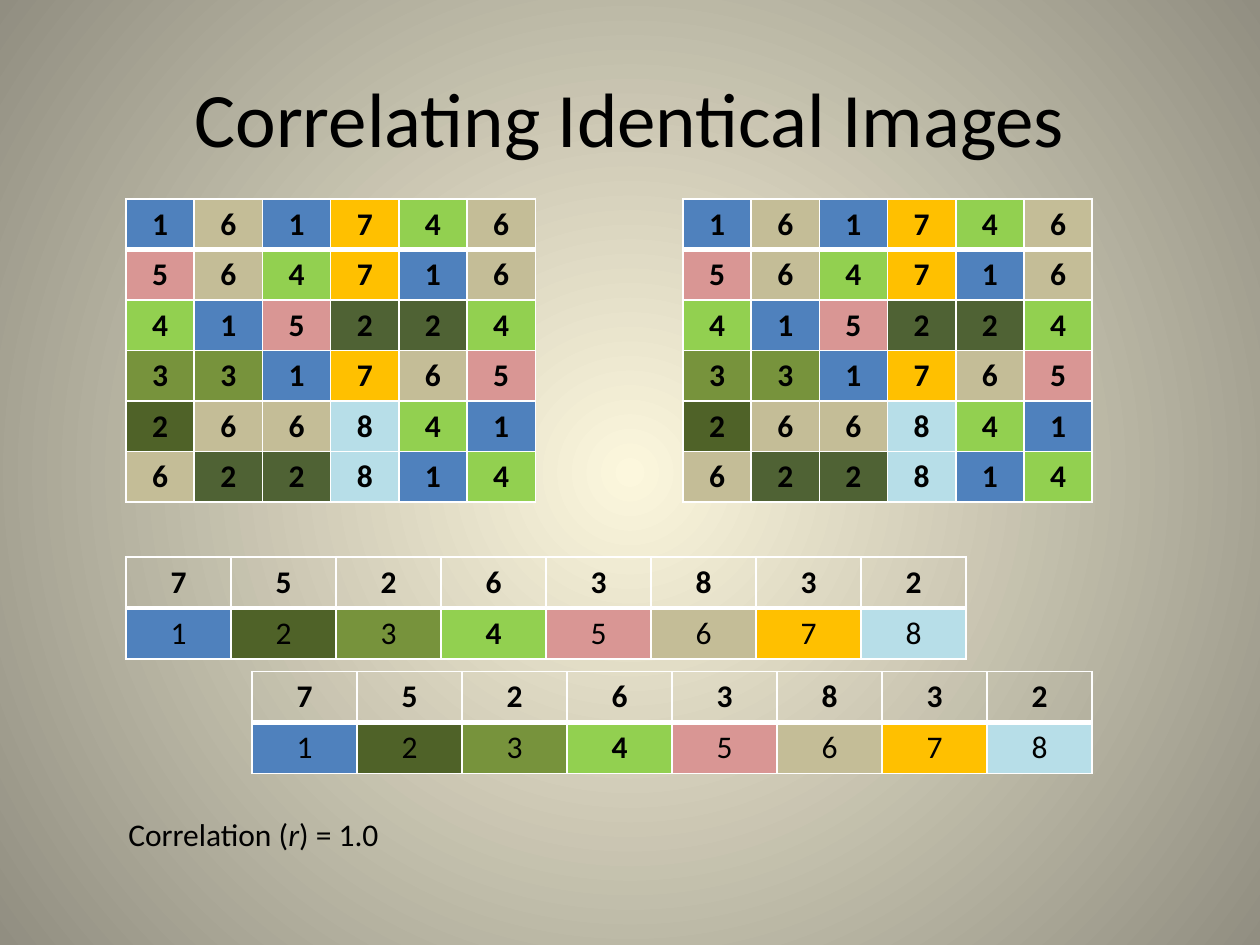
from lxml import etree
from pptx import Presentation
from pptx.dml.color import RGBColor
from pptx.enum import text
from pptx.oxml import parse_xml
from pptx.oxml.ns import nsdecls, qn
from pptx.util import Inches, Pt

FONT = "Calibri"
BLACK = RGBColor(0x00, 0x00, 0x00)
WHITE = RGBColor(0xFF, 0xFF, 0xFF)
GLOW = RGBColor(0xFC, 0xF7, 0xDD)
SHADE = RGBColor(0x91, 0x8E, 0x81)
DARK_GREEN = RGBColor(0x4F, 0x62, 0x34)

# Fill of each pixel value
VALUE_COLOURS = {
    1: RGBColor(0x4F, 0x81, 0xBD),
    2: RGBColor(0x4F, 0x62, 0x28),
    3: RGBColor(0x77, 0x93, 0x3C),
    4: RGBColor(0x92, 0xD0, 0x50),
    5: RGBColor(0xD9, 0x96, 0x94),
    6: RGBColor(0xC4, 0xBD, 0x97),
    7: RGBColor(0xFF, 0xC0, 0x00),
    8: RGBColor(0xB7, 0xDE, 0xE8),
}
PIXELS = [
    [1, 6, 1, 7, 4, 6],
    [5, 6, 4, 7, 1, 6],
    [4, 1, 5, 2, 2, 4],
    [3, 3, 1, 7, 6, 5],
    [2, 6, 6, 8, 4, 1],
    [6, 2, 2, 8, 1, 4],
]
COUNTS = [7, 5, 2, 6, 3, 8, 3, 2]


def paint_background(page):
    """Radial gradient, light in the centre."""
    background = parse_xml(
        f'<p:bg {nsdecls("p", "a")}><p:bgPr><a:gradFill rotWithShape="1"><a:gsLst>'
        f'<a:gs pos="0"><a:srgbClr val="{GLOW}"/></a:gs>'
        f'<a:gs pos="100000"><a:srgbClr val="{SHADE}"/></a:gs></a:gsLst>'
        '<a:path path="circle"><a:fillToRect l="50000" t="50000" r="50000" b="50000"/></a:path>'
        '</a:gradFill><a:effectLst/></p:bgPr></p:bg>')
    page.background._cSld.insert(0, background)


def set_font(para, size, bold=False):
    para.font.name = FONT
    para.font.size = Pt(size)
    para.font.bold = bold
    para.font.color.rgb = BLACK


def set_borders(cell, bottom):
    properties = cell._tc.get_or_add_tcPr()
    widths = {"lnL": 1, "lnR": 1, "lnT": 1, "lnB": bottom}
    for index, (side, width) in enumerate(widths.items()):
        line = etree.Element(qn(f"a:{side}"), w=str(Pt(width)))
        fill = etree.SubElement(line, qn("a:solidFill"))
        etree.SubElement(fill, qn("a:srgbClr"), val=str(WHITE))
        properties.insert(index, line)


def add_number_table(page, box, values, colour_of, is_bold):
    """Table of centred numbers with a heavier rule below the first row."""
    rows, columns = len(values), len(values[0])
    table = page.shapes.add_table(rows, columns, *map(Inches, box)).table
    table.first_row = table.horz_banding = False
    for row, numbers in enumerate(values):
        for column, number in enumerate(numbers):
            cell = table.cell(row, column)
            cell.text = str(number)
            para = cell.text_frame.paragraphs[0]
            para.alignment = text.PP_ALIGN.CENTER
            set_font(para, 18, is_bold(row, number))
            colour = colour_of(row, column, number)
            if colour is None:
                cell.fill.background()
            else:
                cell.fill.solid()
                cell.fill.fore_color.rgb = colour
            set_borders(cell, 3 if row == 0 else 1)


def add_histogram(page, box):
    """Counts above, the coloured pixel values below."""
    add_number_table(
        page, box, [COUNTS, list(VALUE_COLOURS)],
        lambda row, column, number: VALUE_COLOURS[number] if row else None,
        lambda row, number: row == 0 or number == 4)


def add_pixel_grid(page, box):
    """Image shown as numbered, coloured pixels."""
    def colour_of(row, column, number):
        return DARK_GREEN if number == 2 and column > 0 else VALUE_COLOURS[number]

    add_number_table(page, box, PIXELS, colour_of, lambda row, number: True)


def add_text(page, box, pieces, size, align, anchor):
    """Single line of text from (wording, italic) pieces."""
    frame = page.shapes.add_textbox(*map(Inches, box)).text_frame
    frame.word_wrap = True
    frame.vertical_anchor = anchor
    para = frame.paragraphs[0]
    para.alignment = align
    set_font(para, size)
    for wording, italic in pieces:
        span = para.add_run()
        span.text = wording
        if italic:
            span.font.italic = True


def main():
    deck = Presentation()
    deck.slide_width, deck.slide_height = Inches(10), Inches(7.5)
    page = deck.slides.add_slide(deck.slide_layouts[6])
    paint_background(page)

    # Title
    add_text(page, (0.5, 0.3, 9, 1.25), [("Correlating Identical Images", False)],
             44, text.PP_ALIGN.CENTER, text.MSO_ANCHOR.MIDDLE)

    # Histograms
    for left, top in ((2, 5.33), (1, 4.42)):
        add_histogram(page, (left, top, 6.67, 0.81))

    # The two identical images
    for left in (1, 5.42):
        add_pixel_grid(page, (left, 1.58, 3.25, 2.4))

    # Result
    add_text(page, (0.92, 6.42, 7.58, 0.4),
             [("Correlation (", False), ("r", True), (") = 1.0", False)],
             18, text.PP_ALIGN.LEFT, text.MSO_ANCHOR.TOP)

    deck.save("out.pptx")


if __name__ == "__main__":
    main()
